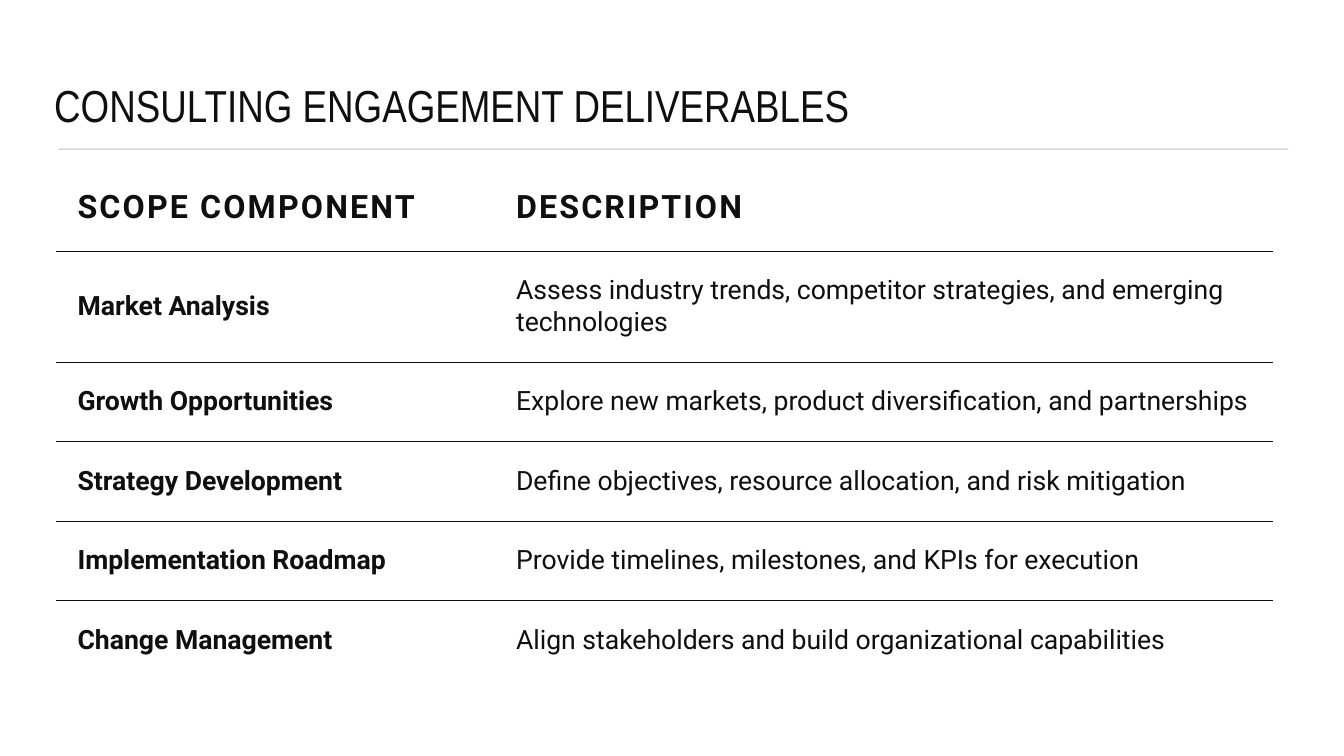
import dataclasses
import typing

import lxml.etree
import pptx
import pptx.dml.color
import pptx.enum.shapes
import pptx.enum.text
import pptx.oxml.ns
import pptx.util

COLORS = {"ink": "0F0F0F", "paper": "FFFFFF"}
WIDTH = pptx.util.Inches(13.33)
HEIGHT = pptx.util.Inches(7.5)
CELL_INSET_SHARE = 2.8
COLUMN_SHARES = (32.63, 57.91)
ROW_SHARES = (11.47, 14.67) + (10.53,) * 4
BORDER_SIDES = ("lnL", "lnR", "lnT", "lnB")


@dataclasses.dataclass(frozen=True)
class TextStyle:
    name: str
    size: float
    bold: bool = False
    spacing: float = 0


@dataclasses.dataclass(frozen=True)
class Deliverable:
    component: str
    description: str


TITLE_STYLE = TextStyle("Arial Narrow", 32)
HEADER_STYLE = TextStyle("Roboto", 23, True, 1.5)
COMPONENT_STYLE = TextStyle("Roboto", 19, True)
DESCRIPTION_STYLE = TextStyle("Roboto", 19)

ROWS = (
    Deliverable("SCOPE COMPONENT", "DESCRIPTION"),
    Deliverable(
        "Market Analysis",
        "Assess industry trends, competitor strategies, and emerging technologies",
    ),
    Deliverable(
        "Growth Opportunities",
        "Explore new markets, product diversification, and partnerships",
    ),
    Deliverable(
        "Strategy Development",
        "Define objectives, resource allocation, and risk mitigation",
    ),
    Deliverable(
        "Implementation Roadmap",
        "Provide timelines, milestones, and KPIs for execution",
    ),
    Deliverable(
        "Change Management",
        "Align stakeholders and build organizational capabilities",
    ),
)


def across(share: float) -> int:
    return round(WIDTH * share / 100)


def down(share: float) -> int:
    return round(HEIGHT * share / 100)


def color(name: str) -> pptx.dml.color.RGBColor:
    return pptx.dml.color.RGBColor.from_string(COLORS[name])


def set_values(target: typing.Any, values: dict[str, typing.Any]) -> None:
    for name, value in values.items():
        setattr(target, name, value)


def add_child(parent: typing.Any, tag: str, **attributes: str) -> typing.Any:
    return lxml.etree.SubElement(parent, pptx.oxml.ns.qn(tag), attributes)


def write_text(paragraph: typing.Any, text: str, style: TextStyle) -> None:
    run = paragraph.add_run()
    run.text = text
    set_values(
        run.font,
        {"name": style.name, "size": pptx.util.Pt(style.size), "bold": style.bold},
    )
    run.font.color.rgb = color("ink")
    if style.spacing:
        run._r.get_or_add_rPr().set("spc", str(round(style.spacing * 100)))


def draw_title(slide: typing.Any) -> None:
    shape = slide.shapes.add_textbox(across(3.3), down(4.8), across(92.35), down(13.33))
    set_values(
        shape.text_frame,
        {"word_wrap": True, "vertical_anchor": pptx.enum.text.MSO_ANCHOR.BOTTOM},
    )
    paragraph = shape.text_frame.paragraphs[0]
    paragraph.line_spacing = 0.9
    write_text(paragraph, "CONSULTING ENGAGEMENT DELIVERABLES", TITLE_STYLE)


def draw_rule(slide: typing.Any) -> None:
    connector = slide.shapes.add_connector(
        pptx.enum.shapes.MSO_CONNECTOR.STRAIGHT,
        across(4.35), down(19.73), across(95.87), down(19.73),
    )
    connector.line.width = pptx.util.Pt(0.75)
    connector.line.color.rgb = color("ink")
    properties = connector._element.spPr
    add_child(properties.find(f".//{pptx.oxml.ns.qn('a:srgbClr')}"), "a:alpha", val="25000")
    add_child(properties, "a:effectLst")


def set_borders(cell: typing.Any, visible: set[str]) -> None:
    properties = cell._tc.get_or_add_tcPr()
    for position, side in enumerate(BORDER_SIDES):
        border = add_child(properties, f"a:{side}", w=str(pptx.util.Pt(0.5)))
        if side in visible:
            add_child(add_child(border, "a:solidFill"), "a:srgbClr", val=COLORS["ink"])
        else:
            add_child(border, "a:noFill")
        properties.insert(position, border)


def draw_cell(cell: typing.Any, text: str, style: TextStyle, borders: set[str]) -> None:
    sides = ("margin_left", "margin_right", "margin_top", "margin_bottom")
    set_values(cell, dict.fromkeys(sides, down(CELL_INSET_SHARE)))
    cell.vertical_anchor = pptx.enum.text.MSO_ANCHOR.MIDDLE
    cell.fill.background()
    set_borders(cell, borders)
    write_text(cell.text_frame.paragraphs[0], text, style)


def draw_table(slide: typing.Any) -> None:
    table = slide.shapes.add_table(
        len(ROWS), len(COLUMN_SHARES), across(4.2), down(21.73),
        across(sum(COLUMN_SHARES)), down(sum(ROW_SHARES)),
    ).table
    set_values(table, {"first_row": False, "horz_banding": False})
    for column, share in zip(table.columns, COLUMN_SHARES):
        column.width = across(share)
    last = len(ROWS) - 1
    for index, (row, share, entry) in enumerate(zip(table.rows, ROW_SHARES, ROWS)):
        row.height = down(share)
        borders = {side for side, edge in (("lnT", 0), ("lnB", last)) if index != edge}
        styles = (COMPONENT_STYLE, DESCRIPTION_STYLE) if index else (HEADER_STYLE,) * 2
        for cell, text, style in zip(row.cells, dataclasses.astuple(entry), styles):
            draw_cell(cell, text, style, borders)


def main() -> None:
    presentation = pptx.Presentation()
    set_values(presentation, {"slide_width": WIDTH, "slide_height": HEIGHT})
    slide = presentation.slides.add_slide(presentation.slide_layouts[6])
    slide.background.fill.solid()
    slide.background.fill.fore_color.rgb = color("paper")
    draw_rule(slide)
    draw_title(slide)
    draw_table(slide)
    presentation.save("out.pptx")


if __name__ == "__main__":
    main()
